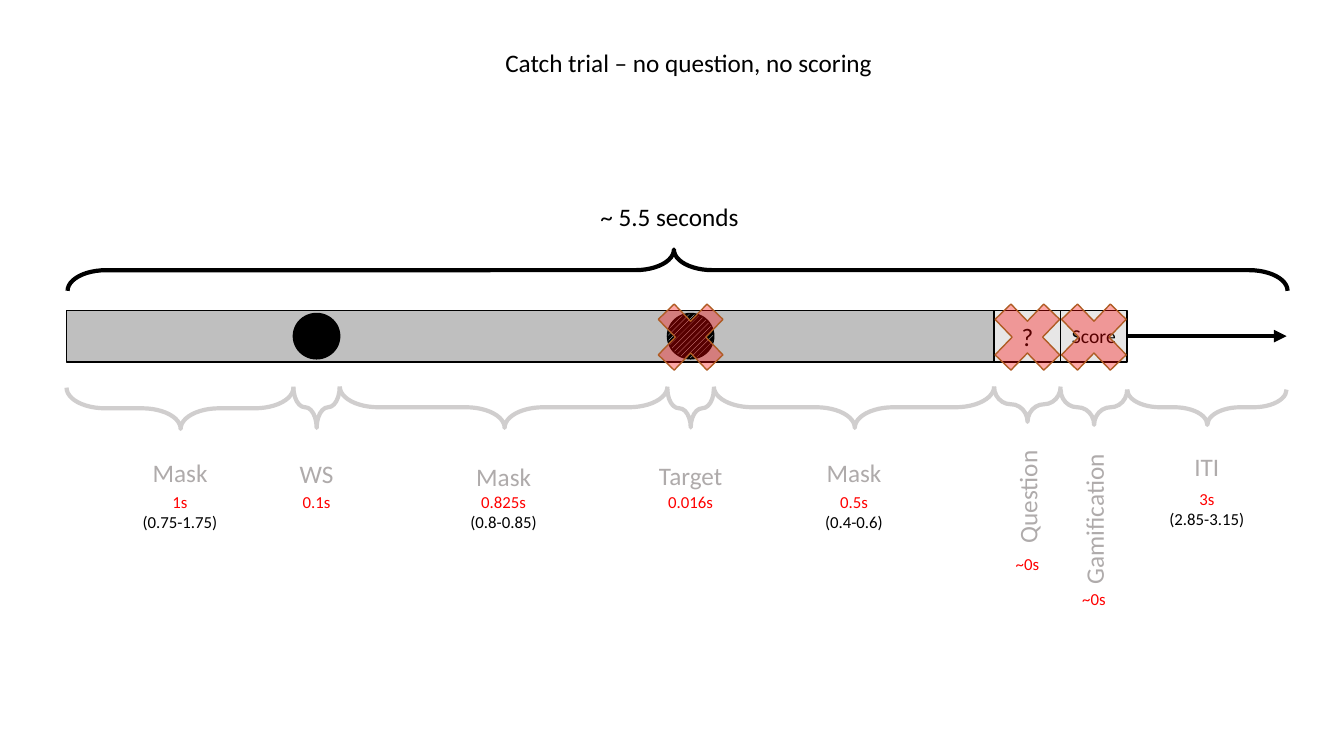
from itertools import accumulate

from lxml import etree
from pptx import Presentation
from pptx.dml.color import RGBColor
from pptx.enum.dml import MSO_PATTERN
from pptx.enum.shapes import MSO_CONNECTOR, MSO_SHAPE
from pptx.enum.text import MSO_ANCHOR, PP_ALIGN
from pptx.oxml.ns import qn
from pptx.util import Inches, Pt

RECTANGLE, OVAL = MSO_SHAPE.RECTANGLE, MSO_SHAPE.OVAL
BRACE, CROSS = MSO_SHAPE.LEFT_BRACE, MSO_SHAPE.MATH_MULTIPLY
STRIPES = MSO_PATTERN.WIDE_UPWARD_DIAGONAL
STRAIGHT = MSO_CONNECTOR.STRAIGHT
CENTER, MIDDLE = PP_ALIGN.CENTER, MSO_ANCHOR.MIDDLE

BLACK = RGBColor(0x00, 0x00, 0x00)
WHITE = RGBColor(0xFF, 0xFF, 0xFF)
RED = RGBColor(0xFF, 0x00, 0x00)
BAR_GREY = RGBColor(0xBF, 0xBF, 0xBF)
BOX_GREY = RGBColor(0xE7, 0xE6, 0xE6)
BRACE_GREY = RGBColor(0xD0, 0xCE, 0xCE)
LABEL_GREY = RGBColor(0xAF, 0xAB, 0xAB)
CROSS_BROWN = RGBColor(0xAF, 0x5C, 0x24)

# Content: name, width, brace centre and depth, label centre and length,
# label rotation, top of the timing, timing lines
TITLE = "Catch trial – no question, no scoring"
TOTAL = "~ 5.5 seconds"
PHASES = [
    ("Mask", 2.25, 4.05, 0.41, 4.69, 0.82, 0, 4.83, ("1s", "(0.75-1.75)")),
    ("WS", 0.46, 4.04, 0.41, 4.70, 0.82, 0, 4.83, ("0.1s",)),
    ("Mask", 3.25, 4.04, 0.41, 4.73, 0.82, 0, 4.83, ("0.825s", "(0.8-0.85)")),
    ("Target", 0.46, 4.05, 0.38, 4.72, 0.91, 0, 4.83, ("0.016s",)),
    ("Mask", 2.78, 4.04, 0.41, 4.69, 0.82, 0, 4.83, ("0.5s", "(0.4-0.6)")),
    ("Question", 0.66, 4.01, 0.35, 4.93, 1.14, 270, 5.44, ("~0s",)),
    ("Gamification", 0.66, 4.04, 0.35, 5.15, 1.58, 270, 5.79, ("~0s",)),
    ("ITI", 1.58, 4.04, 0.35, 4.63, 1.14, 0, 4.80, ("3s", "(2.85-3.15)")),
]
WARNING, TARGET, QUESTION, SCORE, PAUSE = 1, 3, 5, 6, 7
BOXES = [(QUESTION, "?", 18), (SCORE, "Score", 14)]

# Phase edges and centres along the timeline
EDGES = list(accumulate([phase[1] for phase in PHASES], initial=0.66))
CENTERS = [(left + right) / 2 for left, right in zip(EDGES, EDGES[1:])]
BAR_TOP, BAR_HEIGHT = 3.08, 0.51
BAR_MID = BAR_TOP + BAR_HEIGHT / 2

deck = Presentation()
deck.slide_width, deck.slide_height = Inches(13.33), Inches(7.5)
page = deck.slides.add_slide(deck.slide_layouts[6])


def centered(mid_x, mid_y, width, height):
    return [Inches(n) for n in (mid_x - width / 2, mid_y - height / 2, width, height)]


def add_outline(kind, mid_x, mid_y, width, height, fill, line, weight=1):
    shape = page.shapes.add_shape(kind, *centered(mid_x, mid_y, width, height))
    shape.shadow.inherit = False
    if fill is None:
        shape.fill.background()
    else:
        shape.fill.solid()
        shape.fill.fore_color.rgb = fill
    shape.line.color.rgb = line
    shape.line.width = Pt(weight)
    return shape


def write(shape, lines):
    frame = shape.text_frame
    frame.word_wrap = True
    for index, (text, size, color) in enumerate(lines):
        para = frame.add_paragraph() if index else frame.paragraphs[0]
        para.alignment = CENTER
        span = para.add_run()
        span.text = text
        span.font.name, span.font.size = "Calibri", Pt(size)
        span.font.color.rgb = color


def add_text(mid_x, mid_y, width, height, lines, rotation=0):
    box = page.shapes.add_textbox(*centered(mid_x, mid_y, width, height))
    box.rotation = rotation
    write(box, lines)


def add_brace(mid_x, mid_y, span, depth, rotation, color):
    brace = add_outline(BRACE, mid_x, mid_y, depth, span, None, color, 3)
    brace.rotation = rotation
    brace.adjustments[0], brace.adjustments[1] = 0.932, 0.503


# Time arrow, running behind the bar
arrow = page.shapes.add_connector(
    STRAIGHT, Inches(EDGES[0]), Inches(BAR_MID), Inches(EDGES[-1]), Inches(BAR_MID))
arrow.line.color.rgb = BLACK
arrow.line.width = Pt(3)
etree.SubElement(arrow.line._get_or_add_ln(), qn("a:tailEnd"), type="triangle")
etree.SubElement(arrow._element.spPr, qn("a:effectLst"))

# Mask bar with its two dots
bar_width = EDGES[QUESTION] - EDGES[0]
bar = add_outline(RECTANGLE, EDGES[0] + bar_width / 2, BAR_MID, bar_width, BAR_HEIGHT,
                  BAR_GREY, BLACK)
arrow.begin_connect(bar, 1)
for phase in (WARNING, TARGET):
    dot = add_outline(OVAL, CENTERS[phase], BAR_MID, 0.46, 0.45, BLACK, BLACK)
dot.fill.patterned()
dot.fill.pattern = STRIPES
dot.fill.fore_color.rgb, dot.fill.back_color.rgb = WHITE, BLACK

# Question and score boxes
for phase, text, size in BOXES:
    box = add_outline(RECTANGLE, CENTERS[phase], BAR_MID, PHASES[phase][1], BAR_HEIGHT,
                      BOX_GREY, BLACK)
    box.text_frame.vertical_anchor = MIDDLE
    write(box, [(text, size, BLACK)])

# Brace, label and timing of each phase
for mid_x, phase in zip(CENTERS, PHASES):
    name, width, brace_y, depth, label_y, length, rotation, time_top, times = phase
    add_brace(mid_x, brace_y, width, depth, 270, BRACE_GREY)
    add_text(mid_x, label_y, length, 0.4, [(name, 18, LABEL_GREY)], rotation)
    time_height = 0.1 + 0.2 * len(times)
    time_width = 0.6 if rotation else 1.6
    add_text(mid_x, time_top + time_height / 2, time_width, time_height,
             [(text, 12, color) for text, color in zip(times, (RED, BLACK))])

# Total duration
whole = EDGES[-1] - EDGES[0]
add_brace(EDGES[0] + whole / 2 + 0.01, 2.68, whole, 0.41, 90, BLACK)
add_text(6.64, 2.15, 1.94, 0.4, [(TOTAL, 18, BLACK)])

# Title
add_text(6.83, 0.62, 4.09, 0.4, [(TITLE, 18, BLACK)])

# Crosses over the omitted steps
for phase in (QUESTION, SCORE, TARGET):
    cross = add_outline(CROSS, CENTERS[phase], BAR_MID + 0.01, 0.93, 0.97, RED, CROSS_BROWN)
    tint = cross._element.spPr.find(qn("a:solidFill")).find(qn("a:srgbClr"))
    etree.SubElement(tint, qn("a:alpha"), val="34000")

deck.save("out.pptx")
